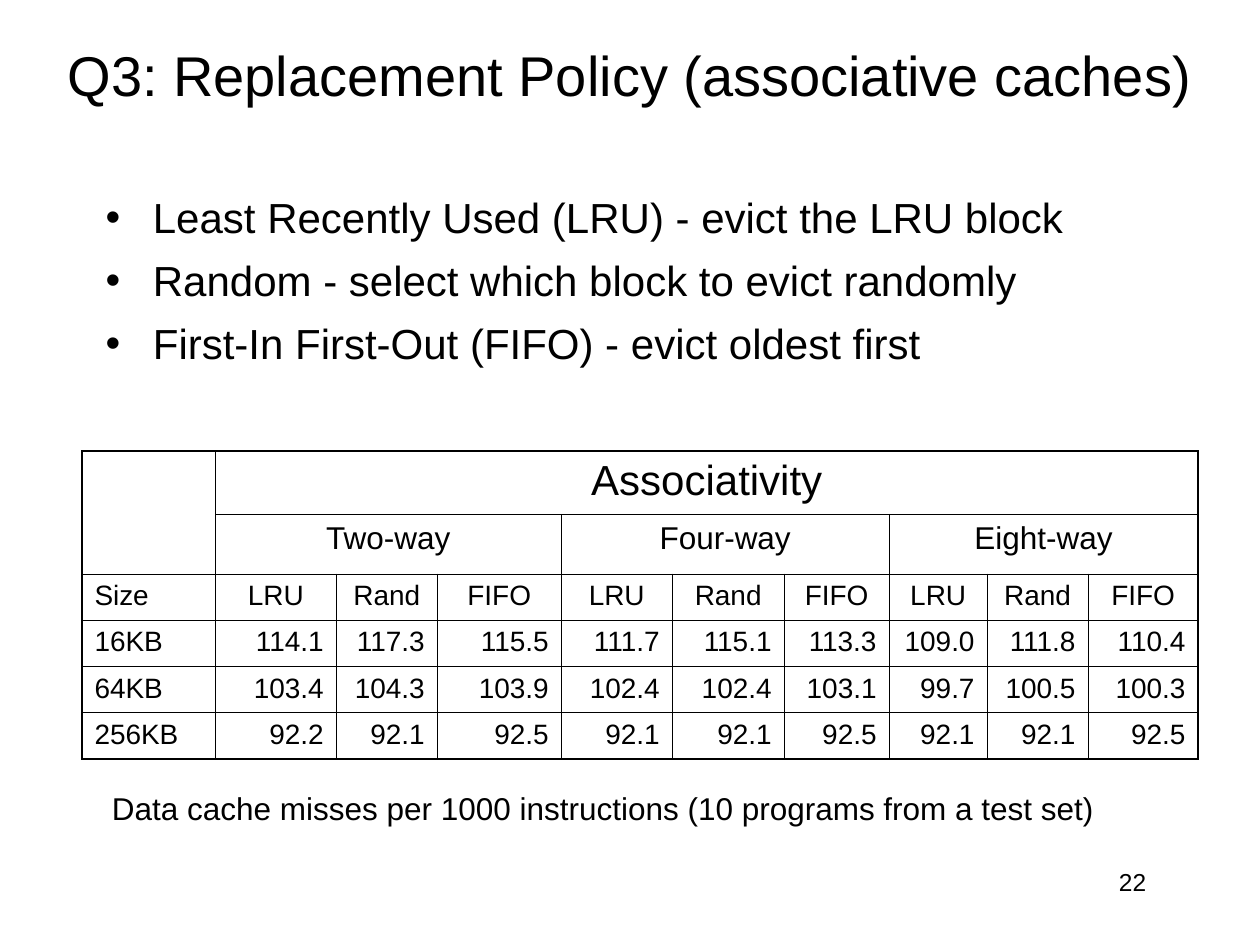
from dataclasses import dataclass

from lxml.etree import SubElement
from pptx import Presentation
from pptx.dml.color import RGBColor
from pptx.enum.text import MSO_ANCHOR as Anchor, PP_ALIGN as Align
from pptx.oxml.ns import qn
from pptx.util import Pt

# Content
TITLE = "Q3: Replacement Policy (associative caches)"
POLICIES = [
    "Least Recently Used (LRU) - evict the LRU block",
    "Random - select which block to evict randomly",
    "First-In First-Out (FIFO) - evict oldest first",
]
WAYS = ["Two-way", "Four-way", "Eight-way"]
METHODS = ["LRU", "Rand", "FIFO"]
MISSES = {
    "16KB": [114.1, 117.3, 115.5, 111.7, 115.1, 113.3, 109.0, 111.8, 110.4],
    "64KB": [103.4, 104.3, 103.9, 102.4, 102.4, 103.1, 99.7, 100.5, 100.3],
    "256KB": [92.2, 92.1, 92.5, 92.1, 92.1, 92.5, 92.1, 92.1, 92.5],
}
CAPTION = "Data cache misses per 1000 instructions (10 programs from a test set)"
PAGE = "22 "

COLUMNS = [76.3, 69.1, 57.7, 70.9, 63.4, 64, 60, 56, 57.7, 62.9]
ROWS = [36, 34.2] + [26.4] * (1 + len(MISSES))


@dataclass(frozen=True)
class Theme:
    font: str = "Arial"
    ink: str = "000000"
    title: int = 32
    body: int = 24
    group: int = 18
    cell: int = 16
    page: int = 14
    outer: float = 1.08
    inner: float = 0.45


THEME = Theme()


def style(paragraph, size, align=Align.LEFT):
    paragraph.alignment = align
    paragraph.font.name = THEME.font
    paragraph.font.size = Pt(size)
    paragraph.font.color.rgb = RGBColor.from_string(THEME.ink)


def add_text(slide, box, lines, size, align=Align.LEFT, wrap=True):
    frame = slide.shapes.add_textbox(*map(Pt, box)).text_frame
    frame.word_wrap = wrap
    frame.text = "\n".join(lines)
    for paragraph in frame.paragraphs:
        style(paragraph, size, align)
    return frame


def add_bullet(paragraph, indent):
    props = paragraph._p.get_or_add_pPr()
    props.set("marL", str(Pt(indent)))
    props.set("indent", str(-Pt(indent)))
    SubElement(props, qn("a:buFont"), typeface=THEME.font)
    SubElement(props, qn("a:buChar"), char="•")


def add_border(cell, side, width):
    """Draw one side of a cell; a width of 0 leaves it open."""
    line = SubElement(cell._tc.get_or_add_tcPr(), qn(f"a:ln{side}"), w=str(Pt(width)))
    if width:
        fill = SubElement(line, qn("a:solidFill"))
        SubElement(fill, qn("a:srgbClr"), val=THEME.ink)
    else:
        SubElement(line, qn("a:noFill"))


def fill_cell(cell, text, size, align):
    cell.text = text
    style(cell.text_frame.paragraphs[0], size, align)


def block(row, col):
    """Identify the ruled block that a grid position belongs to."""
    if row < 0 or col < 0 or row >= len(ROWS) or col >= len(COLUMNS):
        return None
    if col == 0:
        return max(row, 1), 0
    if row == 0:
        return 0, 1
    return (1, (col - 1) // len(METHODS) + 1) if row == 1 else (row, col)


def add_miss_table(slide):
    table = slide.shapes.add_table(
        len(ROWS), len(COLUMNS), Pt(46.8), Pt(257.8), Pt(sum(COLUMNS)), Pt(sum(ROWS))
    ).table
    table.first_row = table.horz_banding = False
    for column, width in zip(table.columns, COLUMNS):
        column.width = Pt(width)
    for row, height in zip(table.rows, ROWS):
        row.height = Pt(height)

    # Rules: heavy outside, thin inside, none within a block
    for r in range(len(ROWS)):
        for c in range(len(COLUMNS)):
            cell = table.cell(r, c)
            for side, dr, dc in (("L", 0, -1), ("R", 0, 1), ("T", -1, 0), ("B", 1, 0)):
                beyond = block(r + dr, c + dc)
                spanned = beyond == block(r, c)
                # A merged cell takes its right rule from its last column
                if side == "R" and spanned:
                    heavy = r == 0 or c > len(COLUMNS) - len(METHODS) - 1
                    width = THEME.outer if heavy else THEME.inner
                else:
                    width = 0 if spanned else THEME.inner if beyond else THEME.outer
                add_border(cell, side, width)
            cell.fill.background()
            style(cell.text_frame.paragraphs[0], THEME.cell)

    # Header rows
    table.cell(0, 1).merge(table.cell(0, len(COLUMNS) - 1))
    fill_cell(table.cell(0, 1), "Associativity", THEME.body, Align.CENTER)
    for i, way in enumerate(WAYS):
        first = 1 + i * len(METHODS)
        table.cell(1, first).merge(table.cell(1, first + len(METHODS) - 1))
        fill_cell(table.cell(1, first), way, THEME.group, Align.CENTER)

    # Method names and miss rates
    lines = [("Size", METHODS * len(WAYS), Align.CENTER)]
    lines += [(size, [f"{v:.1f}" for v in rates], Align.RIGHT) for size, rates in MISSES.items()]
    for r, (label, entries, align) in enumerate(lines, start=2):
        fill_cell(table.cell(r, 0), label, THEME.cell, Align.LEFT)
        for c, entry in enumerate(entries, start=1):
            fill_cell(table.cell(r, c), entry, THEME.cell, align)


def main():
    deck = Presentation()
    deck.slide_width, deck.slide_height = Pt(720), Pt(540)
    slide = deck.slides.add_slide(deck.slide_layouts[6])

    # Title
    title = add_text(slide, (0, 13, 720, 59), [TITLE], THEME.title, Align.CENTER)
    title.vertical_anchor = Anchor.MIDDLE

    # Policies
    policies = add_text(slide, (53.3, 103.7, 612, 372.2), POLICIES, THEME.body)
    policies.margin_top = Pt(6)
    for i, paragraph in enumerate(policies.paragraphs):
        paragraph.space_before = Pt(7.2 if i else 0)
        add_bullet(paragraph, 27)

    # Miss rates with caption, page number
    add_miss_table(slide)
    add_text(slide, (56.9, 447.1, 596.2, 28.8), [CAPTION], THEME.group, wrap=False)
    add_text(slide, (516.2, 491.8, 149.8, 36), [PAGE], THEME.page, Align.RIGHT)

    deck.save("out.pptx")


if __name__ == "__main__":
    main()
